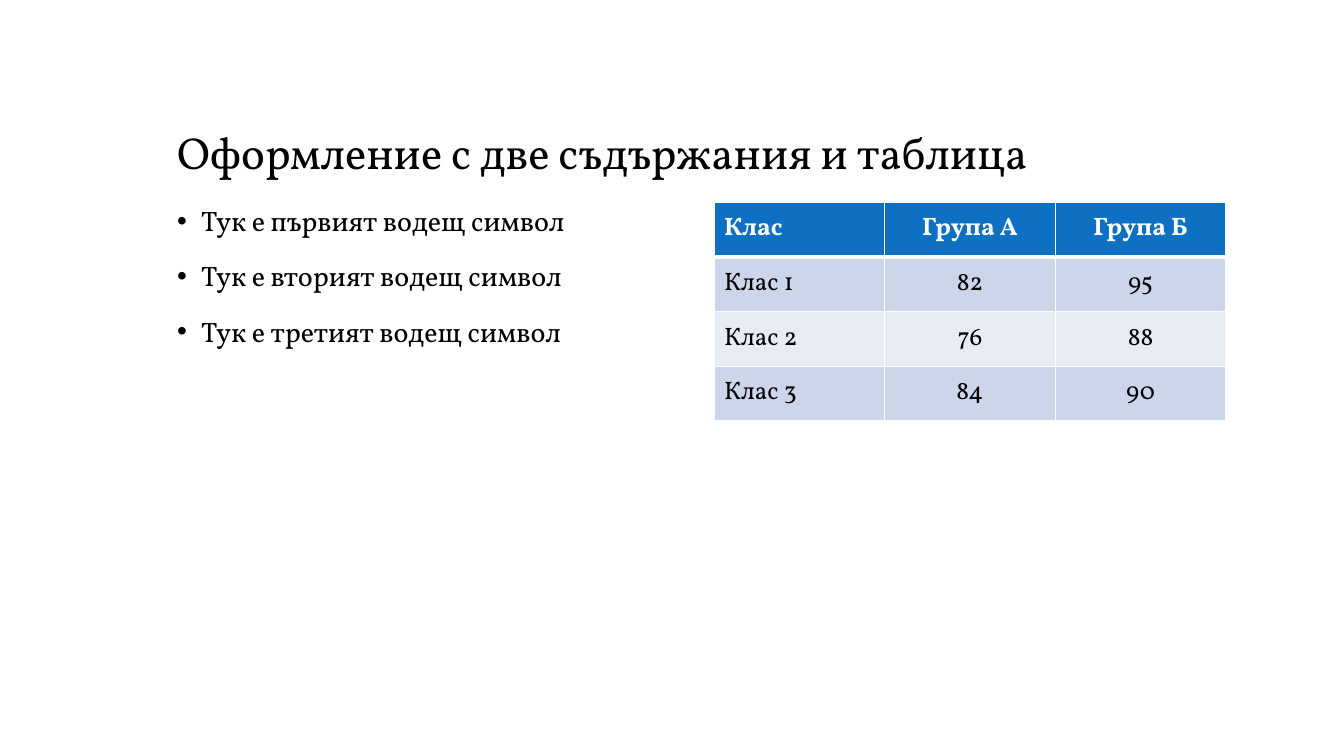
"""Build a slide with a title, a bulleted list and a table of class results."""
import pptx
import pptx.dml.color
import pptx.enum.text
import pptx.oxml
import pptx.oxml.ns
import pptx.util

TITLE = "Оформление с две съдържания и таблица"
BULLETS = [
    "Тук е първият водещ символ",
    "Тук е вторият водещ символ",
    "Тук е третият водещ символ",
]
ROWS = [
    ("Клас", "Група A", "Група Б"),
    ("Клас 1", "82", "95"),
    ("Клас 2", "76", "88"),
    ("Клас 3", "84", "90"),
]
COLORS = {
    "text": "000000",
    "white": "FFFFFF",
    "header": "0E70C2",
    "odd": "CCD5E9",
    "even": "E7EBF4",
}
FONT = "Vollkorn"
SLIDE_SIZE = (1344, 756)
TITLE_BOX = (167, 58, 1058, 126)
LIST_BOX = (167, 202, 512, 462)
TABLE_BOX = (714, 202, 512, 219)
BULLET_INDENT = 24
ALIGN = pptx.enum.text.PP_ALIGN
ANCHOR = pptx.enum.text.MSO_ANCHOR


def px(length):
    return pptx.util.Emu(round(length * 914400 / 100.8))


def color(name):
    return pptx.dml.color.RGBColor.from_string(COLORS[name])


def place(shape, box):
    shape.left, shape.top, shape.width, shape.height = map(px, box)


def style(paragraph, size, color_name="text", bold=False, align=ALIGN.LEFT):
    paragraph.alignment = align
    font = paragraph.font
    font.name, font.size, font.bold = FONT, pptx.util.Pt(size), bold
    font.color.rgb = color(color_name)


def add_bullet(paragraph):
    properties = paragraph._p.get_or_add_pPr()
    properties.set("marL", str(px(BULLET_INDENT)))
    properties.set("indent", str(-px(BULLET_INDENT)))
    bullet = pptx.oxml.parse_xml(
        f'<a:buChar {pptx.oxml.ns.nsdecls("a")} char="•"/>')
    properties.insert_element_before(bullet, "a:tabLst", "a:defRPr", "a:extLst")


def add_border(cell, side, points):
    cell._tc.get_or_add_tcPr().append(pptx.oxml.parse_xml(
        f'<a:ln{side} {pptx.oxml.ns.nsdecls("a")} w="{pptx.util.Pt(points)}">'
        f'<a:solidFill><a:srgbClr val="{COLORS["white"]}"/></a:solidFill>'
        f'</a:ln{side}>'))


def add_title(slide):
    title = slide.shapes.title
    place(title, TITLE_BOX)
    frame = title.text_frame
    frame.text = TITLE
    frame.auto_size = pptx.enum.text.MSO_AUTO_SIZE.NONE
    frame.vertical_anchor = ANCHOR.BOTTOM
    style(frame.paragraphs[0], 32)
    frame.paragraphs[0].line_spacing = 0.9


def add_list(slide):
    body = slide.placeholders[1]
    place(body, LIST_BOX)
    frame = body.text_frame
    frame.text = "\n".join(BULLETS)
    frame.auto_size = pptx.enum.text.MSO_AUTO_SIZE.NONE
    for paragraph in frame.paragraphs:
        style(paragraph, 20)
        paragraph.line_spacing = 0.9
        paragraph.space_before = pptx.util.Pt(18)
        add_bullet(paragraph)


def add_results(slide):
    table = slide.shapes.add_table(
        len(ROWS), len(ROWS[0]), *map(px, TABLE_BOX)).table
    for row, values in enumerate(ROWS):
        header = row == 0
        fill = "header" if header else "odd" if row % 2 else "even"
        borders = {"L": 1, "R": 1, "T": 3 if row == 1 else 1,
                   "B": 3 if header else 1}
        for column, value in enumerate(values):
            cell = table.cell(row, column)
            cell.text = value
            cell.vertical_anchor = ANCHOR.MIDDLE
            style(cell.text_frame.paragraphs[0], 18,
                  "white" if header else "text", header,
                  ALIGN.CENTER if column else ALIGN.LEFT)
            for side, points in borders.items():
                add_border(cell, side, points)
            cell.fill.solid()
            cell.fill.fore_color.rgb = color(fill)


def main():
    presentation = pptx.Presentation()
    presentation.slide_width, presentation.slide_height = map(px, SLIDE_SIZE)
    slide = presentation.slides.add_slide(presentation.slide_layouts[1])
    add_title(slide)
    add_list(slide)
    add_results(slide)
    presentation.save("out.pptx")


if __name__ == "__main__":
    main()
